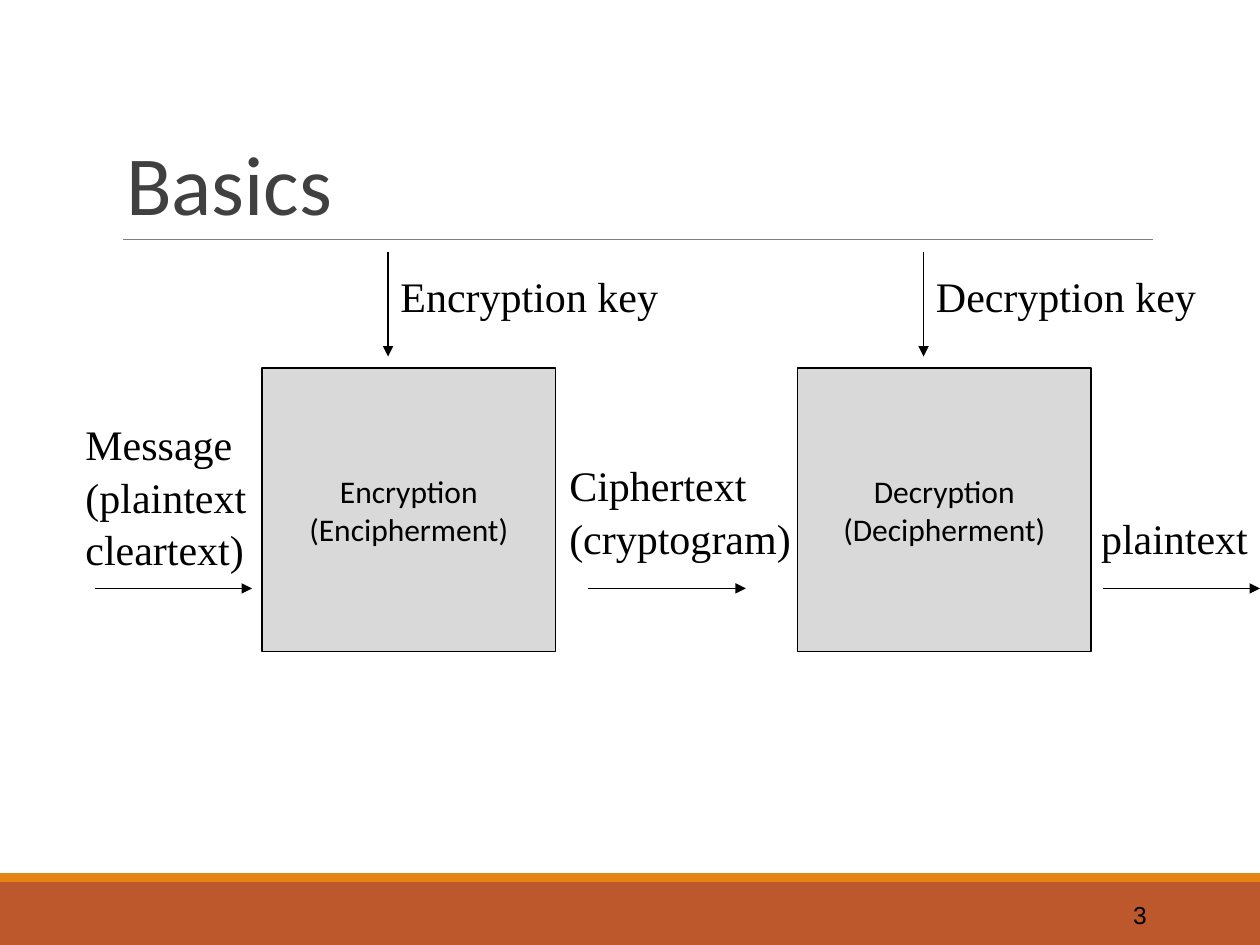
"""Build the slide on the basics of encryption and decryption."""
from dataclasses import dataclass

from lxml import etree
from pptx import Presentation, util as u
from pptx.dml.color import RGBColor
from pptx.enum import shapes, text
from pptx.oxml.ns import qn

COLORS = {
    "ink": "000000",
    "title": "404040",
    "rule": "7F7F7F",
    "stage": "D9D9D9",
    "footer": "BD582C",
    "accent": "E48312",
}
STAGE_TOP, STAGE_WIDTH, STAGE_HEIGHT = 2.92, 2.33, 2.25
KEY_OFFSET, KEY_START, KEY_END = 1.0, 2.0, 2.83
FLOW_Y, FLOW_LENGTH = 4.67, 1.25


@dataclass(frozen=True)
class Stage:
    left: float
    caption: str
    key: str
    key_width: float


@dataclass(frozen=True)
class Flow:
    arrow_left: float
    label: str
    label_box: tuple[float, float, float, float]


STAGES = [
    Stage(2.08, "Encryption\n(Encipherment)", "Encryption key", 2.24),
    Stage(6.33, "Decryption\n(Decipherment)", "Decryption key", 2.26),
]
FLOWS = [
    Flow(0.75, "Message\n(plaintext\ncleartext)", (0.58, 3.25, 1.47, 1.3)),
    Flow(4.67, "Ciphertext\n(cryptogram)", (4.42, 3.58, 1.96, 0.9)),
    Flow(8.75, "plaintext", (8.64, 4.0, 1.36, 0.5)),
]


def rgb(name: str) -> RGBColor:
    """Return a named colour."""
    return RGBColor.from_string(COLORS[name])


def write(frame, wording: str, size: float, font: str, color: str = "ink",
          align=text.PP_ALIGN.LEFT, anchor=text.MSO_ANCHOR.TOP,
          spacing: float = 1.0, wrap: bool = False) -> None:
    """Fill a text frame and format its paragraphs and runs."""
    frame.text = wording
    frame.word_wrap = wrap
    frame.auto_size = text.MSO_AUTO_SIZE.NONE
    frame.vertical_anchor = anchor
    for paragraph in frame.paragraphs:
        paragraph.alignment = align
        paragraph.line_spacing = spacing
        for run in paragraph.runs:
            run.font.size = u.Pt(size)
            run.font.name = font
            run.font.color.rgb = rgb(color)


def add_label(slide, wording: str, box: tuple[float, float, float, float]) -> None:
    """Add a serif label."""
    label = slide.shapes.add_textbox(*map(u.Inches, box))
    write(label.text_frame, wording, 24, "Times New Roman", spacing=1.05)


def add_block(slide, box: tuple[float, float, float, float], fill: str):
    """Add a filled rectangle without outline."""
    block = slide.shapes.add_shape(shapes.MSO_SHAPE.RECTANGLE, *map(u.Inches, box))
    block.shadow.inherit = False
    block.fill.solid()
    block.fill.fore_color.rgb = rgb(fill)
    block.line.fill.background()
    return block


def add_line(slide, start: tuple[float, float], end: tuple[float, float],
             color: str = "ink", width: float = 0.75, arrow: bool = True) -> None:
    """Add a straight line, with an arrowhead at its end if wanted."""
    line = slide.shapes.add_connector(
        shapes.MSO_CONNECTOR.STRAIGHT, *map(u.Inches, (*start, *end)))
    line.line.color.rgb = rgb(color)
    line.line.width = u.Pt(width)
    if arrow:
        etree.SubElement(line.line._get_or_add_ln(), qn("a:tailEnd"), type="triangle")
    etree.SubElement(line._element.spPr, qn("a:effectLst"))


def add_stage(slide, stage: Stage) -> None:
    """Add a processing box with the key that enters it from above."""
    block = add_block(
        slide, (stage.left, STAGE_TOP, STAGE_WIDTH, STAGE_HEIGHT), "stage")
    block.line.color.rgb = rgb("ink")
    block.line.width = u.Pt(0.75)
    write(block.text_frame, stage.caption, 18, "Calibri",
          align=text.PP_ALIGN.CENTER, anchor=text.MSO_ANCHOR.MIDDLE)
    key_x = stage.left + KEY_OFFSET
    add_line(slide, (key_x, KEY_START), (key_x, KEY_END))
    add_label(slide, stage.key, (key_x, 2.08, stage.key_width, 0.5))


def add_flow(slide, flow: Flow) -> None:
    """Add a horizontal arrow and the label of the text it carries."""
    add_line(slide, (flow.arrow_left, FLOW_Y), (flow.arrow_left + FLOW_LENGTH, FLOW_Y))
    add_label(slide, flow.label, flow.label_box)


def main() -> None:
    """Build and save the slide."""
    deck = Presentation()
    deck.slide_width, deck.slide_height = u.Inches(10), u.Inches(7.5)
    slide = deck.slides.add_slide(deck.slide_layouts.get_by_name("Title Only"))

    add_block(slide, (0, 7, 10, 0.5), "footer")
    add_block(slide, (0, 6.93, 10, 0.07), "accent")
    add_line(slide, (0.98, 1.9), (9.15, 1.9), "rule", 0.5, arrow=False)

    title = slide.shapes.title
    title.left, title.top = u.Inches(0.9), u.Inches(0.31)
    title.width, title.height = u.Inches(8.25), u.Inches(1.59)
    write(title.text_frame, "Basics", 48, "Calibri", "title",
          anchor=text.MSO_ANCHOR.BOTTOM, spacing=0.85, wrap=True)

    page_number = slide.shapes.add_textbox(*map(u.Inches, (8.12, 7.06, 1.08, 0.4)))
    write(page_number.text_frame, "3", 14, "Arial", align=text.PP_ALIGN.RIGHT,
          anchor=text.MSO_ANCHOR.MIDDLE, wrap=True)
    page_number.text_frame.paragraphs[0].space_before = u.Pt(8.8)

    for stage in STAGES:
        add_stage(slide, stage)
    for flow in FLOWS:
        add_flow(slide, flow)

    deck.save("out.pptx")


if __name__ == "__main__":
    main()
